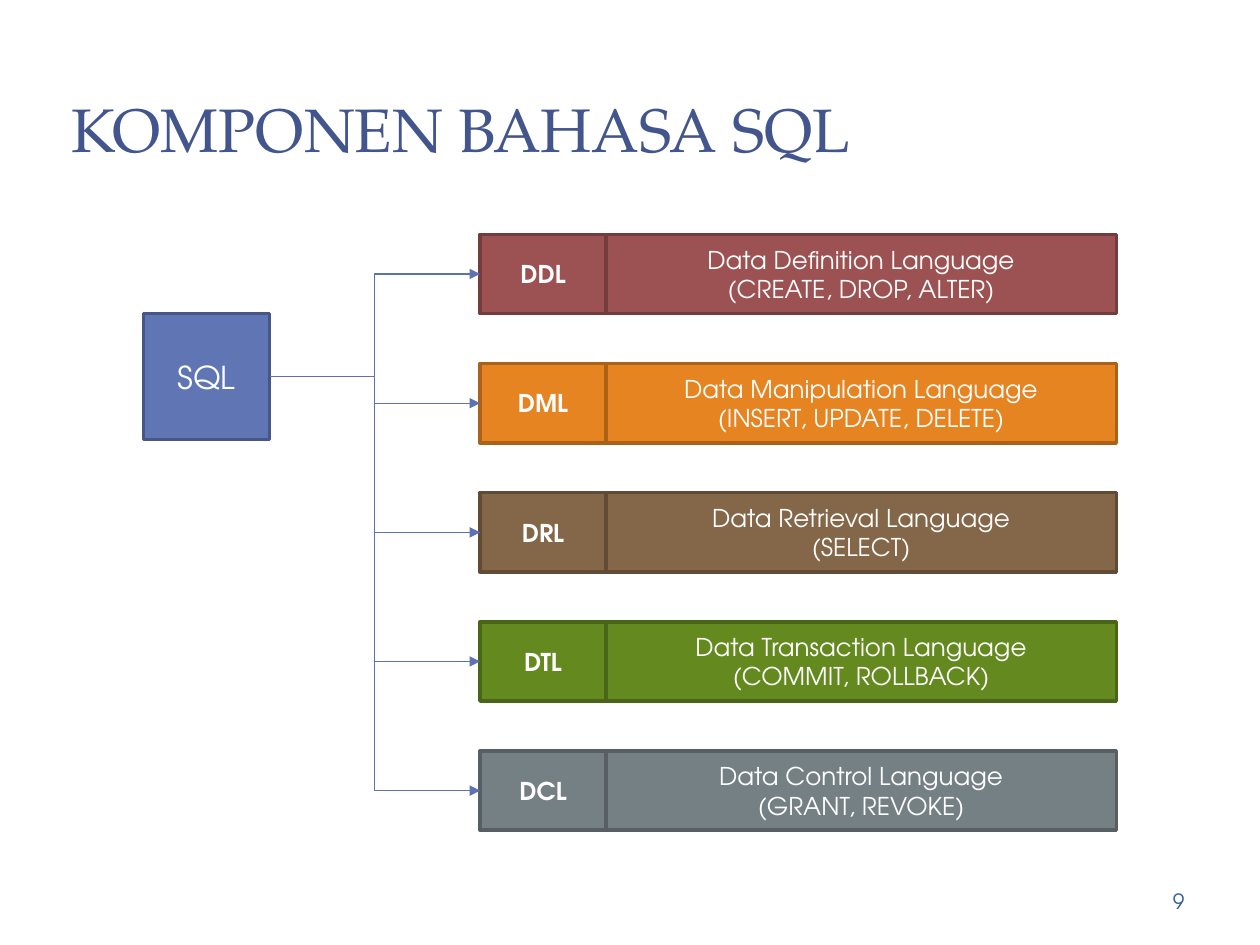
from pptx import Presentation
from pptx.dml.color import RGBColor
from pptx.enum.shapes import MSO_CONNECTOR, MSO_SHAPE
from pptx.enum.text import MSO_ANCHOR, PP_ALIGN
from pptx.oxml.ns import qn
from pptx.util import Inches, Pt
from lxml import etree

ELBOW = MSO_CONNECTOR.ELBOW
RECTANGLE = MSO_SHAPE.RECTANGLE
MIDDLE = MSO_ANCHOR.MIDDLE
LEFT, CENTER, RIGHT = PP_ALIGN.LEFT, PP_ALIGN.CENTER, PP_ALIGN.RIGHT
LEFT_SITE, RIGHT_SITE = 1, 3

HEADING_FONT = "TeX Gyre Pagella"
BODY_FONT = "TeX Gyre Adventor"
COLORS = {
    "title": "42568D", "number": "2F5897", "text": "FFFFFF", "connector": "5C72B2",
    "SQL": "6076B4", "SQL line": "475785",
    "DDL": "9C5252", "DDL line": "733D3D",
    "DML": "E68422", "DML line": "AA6219",
    "DRL": "846648", "DRL line": "624B35",
    "DTL": "63891F", "DTL line": "496517",
    "DCL": "758085", "DCL line": "575F62",
}
COMPONENTS = [
    ("DDL", "Data Definition Language", "(CREATE, DROP, ALTER)"),
    ("DML", "Data Manipulation Language", "(INSERT, UPDATE, DELETE)"),
    ("DRL", "Data Retrieval Language", "(SELECT)"),
    ("DTL", "Data Transaction Language", "(COMMIT, ROLLBACK)"),
    ("DCL", "Data Control Language", "(GRANT, REVOKE)"),
]


def write(shape, lines, size, color, align, font=BODY_FONT, bold=False):
    frame = shape.text_frame
    frame.text = "\n".join(lines)
    frame.word_wrap = True
    frame.vertical_anchor = MIDDLE
    for para in frame.paragraphs:
        para.alignment = align
        para.font.name = font
        para.font.size = Pt(size)
        para.font.bold = bold
        para.font.color.rgb = RGBColor.from_string(COLORS[color])


def add_box(shapes, left, top, width, height, key, lines, size, bold=False):
    box = shapes.add_shape(RECTANGLE, Inches(left), Inches(top), Inches(width), Inches(height))
    box.shadow.inherit = False
    box.fill.solid()
    box.fill.fore_color.rgb = RGBColor.from_string(COLORS[key])
    box.line.color.rgb = RGBColor.from_string(COLORS[key + " line"])
    box.line.width = Pt(2)
    write(box, lines, size, "text", CENTER, bold=bold)
    return box


deck = Presentation()
deck.slide_width, deck.slide_height = Inches(10), Inches(7.5)
page = deck.slides.add_slide(deck.slide_layouts[5])

# Title
title = page.shapes.title
title.left, title.top = Inches(0.47), Inches(0.45)
title.width, title.height = Inches(7.84), Inches(1.13)
write(title, ["KOMPONEN BAHASA SQL"], 35, "title", LEFT, HEADING_FONT)

# Page number
number = page.shapes.add_textbox(Inches(7.17), Inches(6.95), Inches(2.33), Inches(0.4))
write(number, ["9"], 12, "number", RIGHT)

# Root of the tree
root = add_box(page.shapes, 1.14, 2.49, 1, 1, "SQL", ["SQL"], 18)

# One row per component, linked to the root
ROW_TOP, ROW_STEP, ROW_HEIGHT = 1.86, 1.025, 0.63
for index, (code, name, commands) in enumerate(COMPONENTS):
    top = ROW_TOP + index * ROW_STEP
    row = page.shapes.add_group_shape()
    code_box = add_box(row.shapes, 3.81, top, 1, ROW_HEIGHT, code, [code], 14, bold=True)
    add_box(row.shapes, 4.81, top, 4.05, ROW_HEIGHT, code, [name, commands], 14)

    link = page.shapes.add_connector(
        ELBOW, Inches(2.14), Inches(2.99), Inches(3.81), Inches(top + ROW_HEIGHT / 2))
    link.begin_connect(root, RIGHT_SITE)
    link.end_connect(code_box, LEFT_SITE)
    link.line.color.rgb = RGBColor.from_string(COLORS["connector"])
    link.line.width = Pt(0.75)
    properties = link.line._get_or_add_ln()
    etree.SubElement(properties, qn("a:tailEnd"), type="triangle")
    etree.SubElement(properties.getparent(), qn("a:effectLst"))

deck.save("out.pptx")
